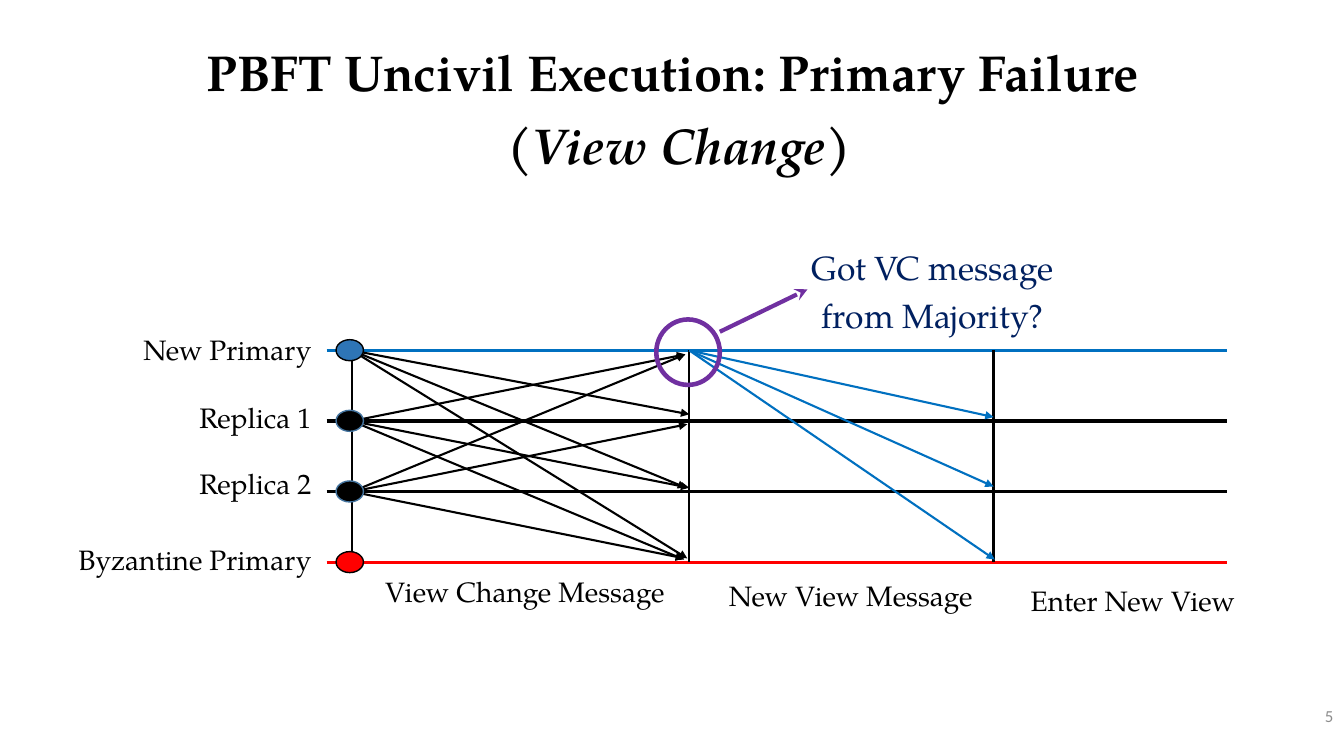
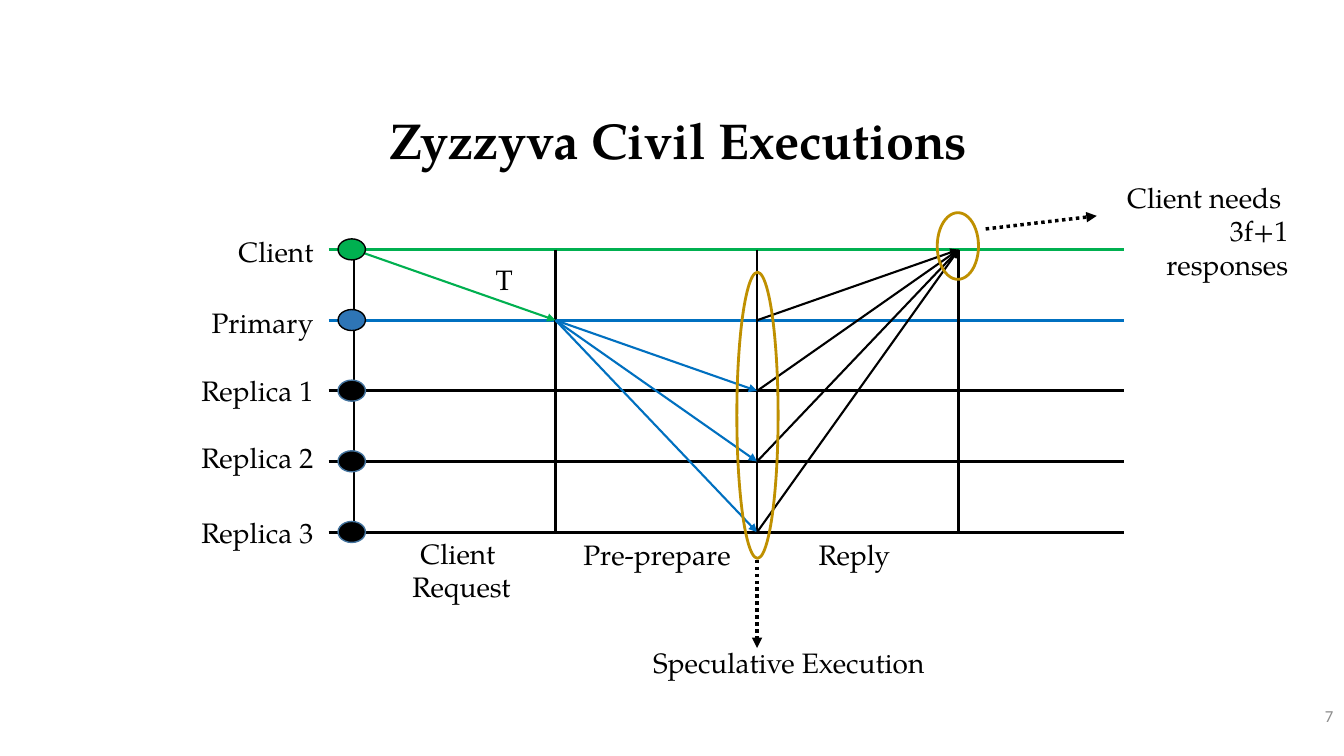
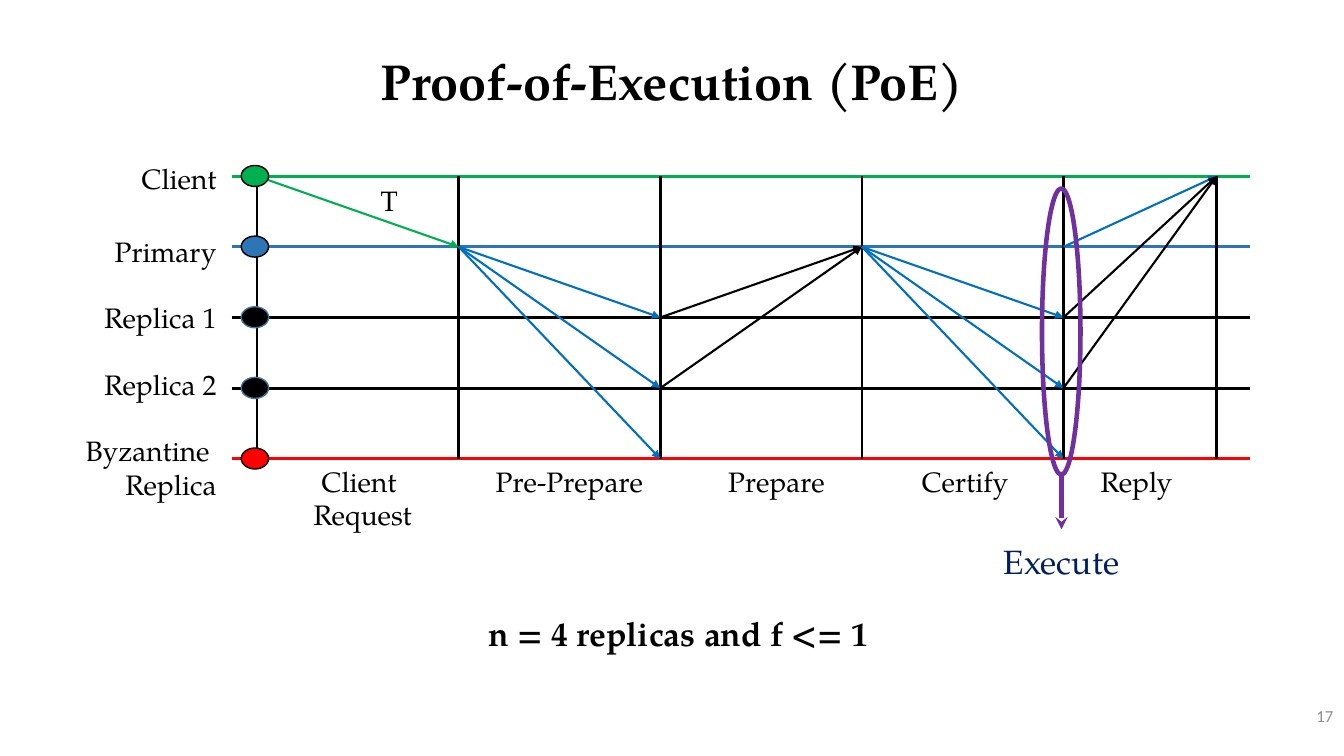
"""Build three slides of consensus protocol message-flow diagrams."""
import lxml.etree
import pptx
import pptx.dml.color
import pptx.enum.dml
import pptx.enum.shapes
import pptx.enum.text
import pptx.oxml.ns
import pptx.util

Cm = pptx.util.Cm
ALIGN = pptx.enum.text.PP_ALIGN
ANCHOR = pptx.enum.text.MSO_ANCHOR
COLORS = {
    "black": "000000", "blue": "0070C0", "steel": "2E75B6", "edge": "43739E",
    "green": "00B050", "red": "FF0000", "purple": "7030A0", "gold": "BF9000",
    "navy": "002060", "gray": "8C8C8C",
}


def rgb(name):
    return pptx.dml.color.RGBColor.from_string(COLORS[name])


class Deck:
    font = "TeX Gyre Pagella"
    pitch = 1.78

    def __init__(self):
        self.prs = pptx.Presentation()
        self.prs.slide_width, self.prs.slide_height = Cm(33.87), Cm(19.05)

    def slide(self, title, box, number):
        self.s = self.prs.slides.add_slide(self.prs.slide_layouts[5])
        sp = self.s.shapes.title
        sp.left, sp.top, sp.width, sp.height = map(Cm, box)
        tf = sp.text_frame
        tf.auto_size = pptx.enum.text.MSO_AUTO_SIZE.NONE
        tf.vertical_anchor = ANCHOR.MIDDLE
        p = tf.paragraphs[0]
        for n, line in enumerate(title.split("\n")):
            if n:
                p.add_line_break()
            for k, part in enumerate(line.split("*")):
                r = p.add_run()
                r.text = part
                r.font.italic = k % 2 == 1
        self.style(p, 36, "black", ALIGN.CENTER, 1.2, True)
        self.text(number, 29.53, 17.53, 4.32, 1.02, 12, "gray", ALIGN.RIGHT,
                  ANCHOR.MIDDLE, font="Calibri")

    def style(self, p, size, color, align, spacing=None, bold=False, font=None):
        p.alignment, p.line_spacing = align, spacing
        p.font.name, p.font.size = font or self.font, pptx.util.Pt(size)
        p.font.bold, p.font.color.rgb = bold, rgb(color)

    def text(self, text, x, y, w, h, size=20, color="black", align=ALIGN.CENTER,
             anchor=ANCHOR.TOP, **style):
        tf = self.s.shapes.add_textbox(Cm(x), Cm(y), Cm(w), Cm(h)).text_frame
        tf.word_wrap, tf.vertical_anchor = True, anchor
        tf.text = text
        for p in tf.paragraphs:
            self.style(p, size, color, align, **style)

    def caption(self, text, center, y):
        lines = text.split("\n")
        w = 0.4 * max(map(len, lines)) + 0.6
        self.text(text, center - w / 2, y, w, 0.85 * len(lines) + 0.26)

    def label(self, text, right, middle):
        lines = text.split("\n")
        w, h = 0.4 * max(map(len, lines)) + 0.6, 0.85 * len(lines) + 0.26
        self.text(text, right - w, middle - h / 2, w, h, align=ALIGN.RIGHT)

    def remark(self, text, x, y, w, h, color="navy", bold=False):
        self.text(text, x, y, w, h, 24, color, anchor=ANCHOR.MIDDLE,
                  spacing=1.2, bold=bold)

    def line(self, x1, y1, x2, y2, color="black", width=1.75, head=None, dotted=False):
        c = self.s.shapes.add_connector(
            pptx.enum.shapes.MSO_CONNECTOR.STRAIGHT, Cm(x1), Cm(y1), Cm(x2), Cm(y2))
        c.line.color.rgb, c.line.width = rgb(color), pptx.util.Pt(width)
        if dotted:
            c.line.dash_style = pptx.enum.dml.MSO_LINE.ROUND_DOT
        qn = pptx.oxml.ns.qn
        spPr = c._element.spPr
        if head:
            lxml.etree.SubElement(spPr.find(qn("a:ln")), qn("a:tailEnd"), type=head)
        lxml.etree.SubElement(spPr, qn("a:effectLst"))

    def oval(self, x, y, w, h, edge, width, fill=None):
        sp = self.s.shapes.add_shape(
            pptx.enum.shapes.MSO_SHAPE.OVAL, Cm(x), Cm(y), Cm(w), Cm(h))
        sp.shadow.inherit = False
        sp.line.color.rgb, sp.line.width = rgb(edge), pptx.util.Pt(width)
        if fill:
            sp.fill.solid()
            sp.fill.fore_color.rgb = rgb(fill)
        else:
            sp.fill.background()

    def lanes(self, top, columns, right, lanes):
        self.columns = columns
        self.rows = [top + self.pitch * i for i in range(len(lanes))]
        for y, (name, color, shift) in zip(self.rows, lanes):
            self.line(columns[0] - 0.64, y, right, y, color, 2.25)
            self.label(name, columns[0] - 0.77, y + shift)
        for x in columns:
            self.line(x, self.rows[0], x, self.rows[-1])

    def dots(self, *fills):
        for y, fill in zip(self.rows, fills):
            edge = "edge" if fill == "black" else "black"
            self.oval(self.columns[0] - 0.4, y - 0.27, 0.69, 0.53, edge, 1, fill)

    def messages(self, start, color, *hops):
        for sender, receiver, *nudge in hops:
            dx, dy = nudge or (0, 0)
            self.line(self.columns[start], self.rows[sender],
                      self.columns[start + 1] + dx, self.rows[receiver] + dy,
                      color, 1.5, "triangle")


def view_change(d):
    d.slide("PBFT Uncivil Execution: Primary Failure \n(*View Change*)",
            (2.51, 0.64, 29.21, 3.84), "5")
    d.lanes(8.83, [8.87, 17.37, 25.04], 30.91, [
        ("New Primary", "blue", -0.02), ("Replica 1", "black", -0.09),
        ("Replica 2", "black", -0.2), ("Byzantine Primary", "red", -0.07)])
    d.messages(0, "black",
               (0, 1, 0, -0.17), (0, 2, -0.08, -0.1), (0, 3, -0.05, -0.1),
               (1, 0, -0.1, 0.1), (1, 2, 0, -0.1), (1, 3, -0.13, -0.07),
               (2, 0, -0.1, 0.1), (2, 1, -0.05, 0.08), (2, 3, -0.13, -0.1))
    d.messages(1, "blue", (0, 1, 0, -0.1), (0, 2, 0, -0.13), (0, 3, 0.03, -0.07))
    d.dots("steel", "black", "black", "red")
    d.caption("View Change Message", 13.23, 14.35)
    d.caption("New View Message", 21.44, 14.45)
    d.caption("Enter New View", 28.55, 14.58)
    d.oval(16.54, 8.05, 1.6, 1.65, "purple", 3.25)
    d.line(18.14, 8.36, 20.35, 7.29, "purple", 3, "stealth")
    d.remark("Got VC message from Majority?", 19.71, 5.92, 7.59, 2.64)


def zyzzyva(d):
    d.slide("Zyzzyva Civil Executions", (2.49, 2.36, 29.21, 1.98), "7")
    d.lanes(6.29, [8.92 + 5.08 * i for i in range(4)], 28.32, [
        ("Client", "green", 0.04), ("Primary", "blue", 0.07),
        ("Replica 1", "black", 0), ("Replica 2", "black", -0.11),
        ("Replica 3", "black", 0)])
    d.messages(0, "green", (0, 1))
    d.messages(1, "blue", (1, 2), (1, 3), (1, 4))
    d.messages(2, "black", (1, 0), (2, 0), (3, 0), (4, 0))
    d.dots("green", "steel", "black", "black", "black")
    d.caption("T", 12.71, 6.48)
    d.caption("Client \nRequest", 11.63, 13.39)
    d.caption("Pre-prepare", 16.56, 13.41)
    d.caption("Reply", 21.53, 13.41)
    d.caption("Speculative Execution", 19.88, 16.13)
    d.oval(18.57, 6.86, 1.04, 7.21, "gold", 2)
    d.oval(23.62, 5.36, 1.04, 1.68, "gold", 2)
    d.line(19.08, 14.1, 19.08, 16.33, "black", 2.5, "triangle", True)
    d.line(24.84, 5.77, 27.64, 5.44, "black", 2.5, "triangle", True)
    d.text("Client needs \n3f+1 responses", 27.61, 4.42, 5.11, 1.96, align=ALIGN.RIGHT)


def proof_of_execution(d):
    d.slide("Proof-of-Execution (PoE)", (0, 0.89, 33.87, 1.98), "17")
    d.lanes(4.44, [6.48 + 5.08 * i for i in range(5)] + [30.66], 31.5, [
        ("Client", "green", 0.07), ("Primary", "steel", 0.11),
        ("Replica 1", "black", 0), ("Replica 2", "black", -0.09),
        ("Byzantine \nReplica", "red", 0.22)])
    d.messages(0, "green", (0, 1))
    d.messages(1, "blue", (1, 2), (1, 3), (1, 4))
    d.messages(2, "black", (2, 1), (3, 1))
    d.messages(3, "blue", (1, 2), (1, 3), (1, 4))
    d.messages(4, "blue", (1, 0))
    d.messages(4, "black", (2, 0), (3, 0))
    d.dots("green", "steel", "black", "black", "red")
    d.caption("T", 9.81, 4.5)
    for name, center in (("Client \nRequest", 9.14), ("Pre-Prepare ", 14.44),
                         ("Prepare ", 19.66), ("Certify", 24.32), ("Reply", 28.64)):
        d.caption(name, center, 11.57)
    d.remark("n = 4 replicas and f <= 1", 2.49, 15.14, 29.21, 1.4, "black", True)
    d.oval(26.26, 4.75, 0.97, 7.21, "purple", 3.25)
    d.line(26.75, 11.96, 26.75, 13.34, "purple", 3, "stealth")
    d.remark("Execute", 24.59, 13.34, 4.32, 1.4)


def main():
    d = Deck()
    view_change(d)
    zyzzyva(d)
    proof_of_execution(d)
    d.prs.save("out.pptx")


if __name__ == "__main__":
    main()
